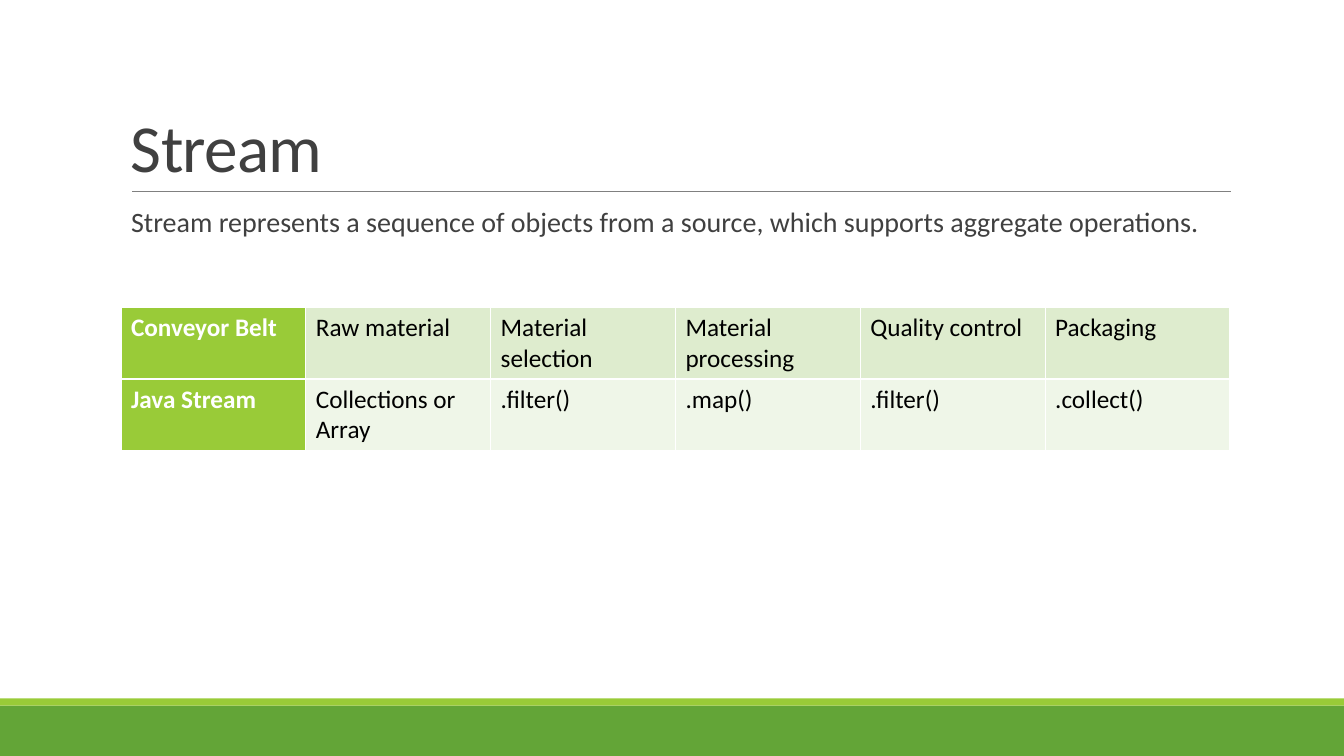
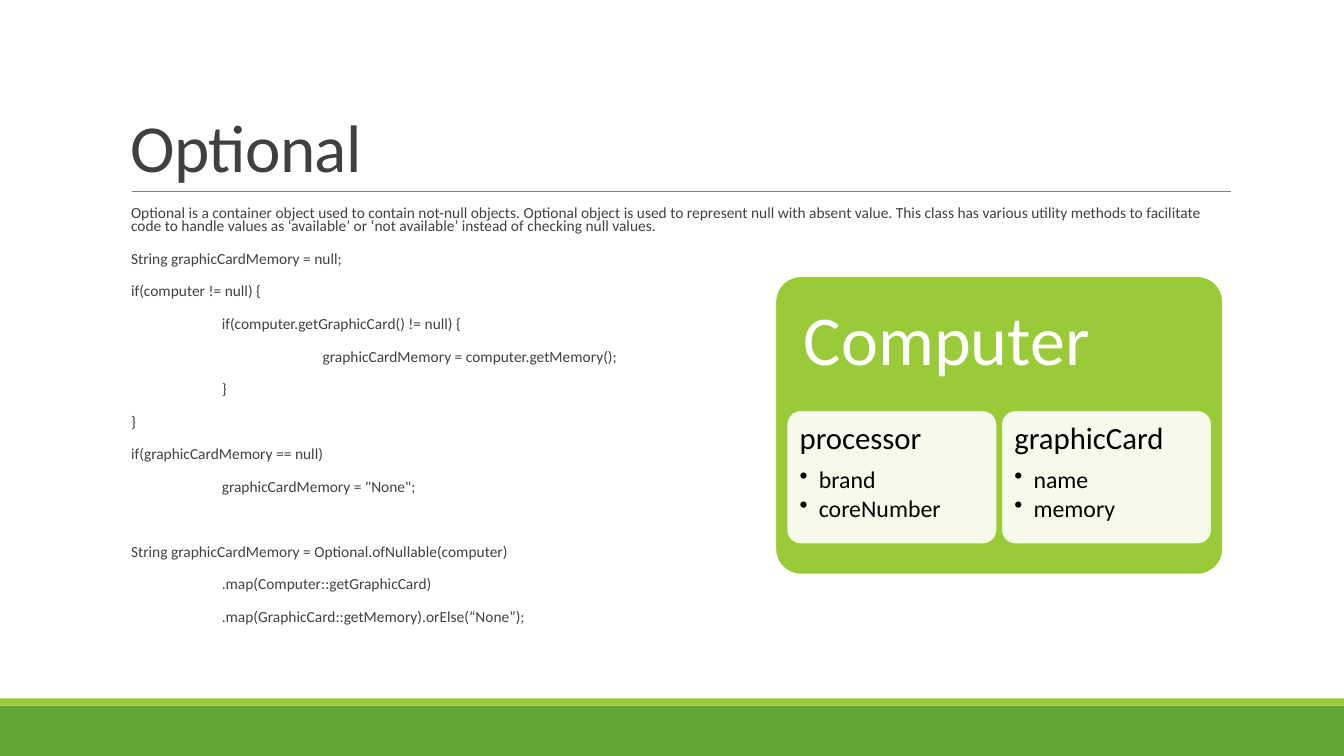
from lxml.etree import SubElement
from pptx import Presentation
from pptx.dml.color import RGBColor
from pptx.enum.shapes import MSO_CONNECTOR, MSO_SHAPE
from pptx.enum.text import MSO_ANCHOR, PP_ALIGN
from pptx.oxml import parse_xml
from pptx.oxml.ns import nsdecls, qn
from pptx.util import Inches, Pt

# Shared style
FONT = "Calibri"
LIME, GREEN, WHITE, BLACK = "99CB38", "63A537", "FFFFFF", "000000"
INK, RULE, CARD = "404040", "808080", "F5FAEB"
BANDS = ["DEECCE", "EFF6E8"]
WIDE, HIGH = 13.33, 7.5
LEFT, SPAN = 1.2, 11

# Content: each body line is (indent level, text, space before)
STREAM = [(0, "Stream represents a sequence of objects from a source, which supports "
              "aggregate operations.", 12)]
STEPS = [
    ["Conveyor Belt", "Raw material", "Material selection", "Material processing",
     "Quality control", "Packaging"],
    ["Java Stream", "Collections or Array", ".filter()", ".map()", ".filter()", ".collect()"],
]
OPTIONAL = [
    (0, "Optional is a container object used to contain not-null objects. Optional object is "
        "used to represent null with absent value. This class has various utility methods to "
        "facilitate code to handle values as ‘available’ or ‘not available’ instead of "
        "checking null values.", 12),
    (0, "String graphicCardMemory = null;", 12),
    (0, "if(computer != null) {", 12),
    (1, "if(computer.getGraphicCard() != null) {", 12),
    (2, "graphicCardMemory = computer.getMemory();", 12),
    (1, "}", 12),
    (0, "}", 12),
    (0, "if(graphicCardMemory == null)", 12),
    (1, "graphicCardMemory = \"None\";", 12),
    (0, "String graphicCardMemory = Optional.ofNullable(computer)", 35.3),
    (1, ".map(Computer::getGraphicCard)", 12),
    (1, ".map(GraphicCard::getMemory).orElse(“None”);", 12),
]
CLASS = "Computer"
FIELDS = [("processor", ["brand", "coreNumber"]), ("graphicCard", ["name", "memory"])]


def rgb(code):
    return RGBColor.from_string(code)


def paint(part, code):
    part.fill.solid()
    part.fill.fore_color.rgb = rgb(code)


def style(para, size, color, bold=False):
    para.alignment = PP_ALIGN.LEFT
    for run in para.runs:
        font = run.font
        font.name, font.size, font.bold = FONT, Pt(size), bold
        font.color.rgb = rgb(color)


def space(para, line, before=0, after=0):
    para.line_spacing = line
    para.space_before, para.space_after = Pt(before), Pt(after)


def indent(para, margin, first=0):
    props = para._p.get_or_add_pPr()
    props.set("marL", str(Inches(margin)))
    props.set("indent", str(Inches(first)))
    return props


def inset(frame, side, edge):
    frame.word_wrap = True
    frame.margin_left = frame.margin_right = Inches(side)
    frame.margin_top = frame.margin_bottom = Inches(edge)


def add_text(slide, box, side):
    frame = slide.shapes.add_textbox(*map(Inches, box)).text_frame
    inset(frame, side, 0.05)
    return frame


def add_box(slide, kind, box, color, edge=None, radius=None):
    shape = slide.shapes.add_shape(kind, *map(Inches, box))
    shape.shadow.inherit = False
    paint(shape, color)
    if edge:
        shape.line.color.rgb = rgb(edge)
        shape.line.width = Pt(1.25)
    else:
        shape.line.fill.background()
    if radius:
        shape.adjustments[0] = radius
    return shape


def add_base(deck, title):
    """Slide with the footer bands, the rule and the title."""
    slide = deck.slides.add_slide(deck.slide_layouts[6])
    add_box(slide, MSO_SHAPE.RECTANGLE, (0, 7, WIDE, 0.5), GREEN)
    add_box(slide, MSO_SHAPE.RECTANGLE, (0, 6.93, WIDE, 0.07), LIME)
    rule = slide.shapes.add_connector(
        MSO_CONNECTOR.STRAIGHT, *map(Inches, (1.31, 1.9, 12.21, 1.9)))
    rule.line.color.rgb = rgb(RULE)
    rule.line.width = Pt(0.5)
    SubElement(rule._element.spPr, qn("a:effectLst"))
    frame = add_text(slide, (LEFT, 0.31, SPAN, 1.59), 0.1)
    frame.vertical_anchor = MSO_ANCHOR.BOTTOM
    frame.text = title
    para = frame.paragraphs[0]
    style(para, 48, INK)
    space(para, 0.85)
    para.runs[0].font._element.set("spc", "-50")
    return slide


def add_body(slide, lines, size, line):
    frame = add_text(slide, (LEFT, 2.02, SPAN, 4.4), 0)
    frame.text = "\n".join(text for _, text, _ in lines)
    for para, (level, _, before) in zip(frame.paragraphs, lines):
        style(para, size, INK)
        space(para, line, before, 2)
        indent(para, level or 0.1)


def add_grid(slide, rows):
    table = slide.shapes.add_table(
        len(rows), len(rows[0]), *map(Inches, (LEFT, 3.05, SPAN, 1.42))).table
    table.first_row = table.horz_banding = False
    for r, row in enumerate(rows):
        for c, text in enumerate(row):
            cell = table.cell(r, c)
            head = c == 0
            cell.text = text
            style(cell.text_frame.paragraphs[0], 18, WHITE if head else BLACK, head)
            paint(cell, LIME if head else BANDS[r])
            for i, side in enumerate(["lnL", "lnR", "lnT", "lnB"]):
                cell._tc.get_or_add_tcPr().insert(i, parse_xml(
                    f'<a:{side} {nsdecls("a")} w="12700"><a:solidFill>'
                    f'<a:srgbClr val="{WHITE}"/></a:solidFill></a:{side}>'))


def add_class(slide, name, fields):
    """Class panel with one card per field."""
    panel = add_box(slide, MSO_SHAPE.ROUNDED_RECTANGLE,
                    (7.69, 2.74, 4.44, 2.96), LIME, WHITE, 0.085)
    frame = panel.text_frame
    inset(frame, 0.21, 0.21)
    frame.vertical_anchor = MSO_ANCHOR.TOP
    frame.text = name
    style(frame.paragraphs[0], 50, WHITE)
    space(frame.paragraphs[0], 0.9)
    for i, (field, parts) in enumerate(fields):
        card = add_box(slide, MSO_SHAPE.ROUNDED_RECTANGLE,
                       (7.8 + i * 2.13, 4.07, 2.09, 1.33), CARD, LIME, 0.105)
        frame = card.text_frame
        inset(frame, 0.09, 0.09)
        frame.vertical_anchor = MSO_ANCHOR.TOP
        frame.text = "\n".join([field, *parts])
        head, *items = frame.paragraphs
        style(head, 22, BLACK)
        space(head, 0.9, after=7.7)
        for item in items:
            style(item, 17, BLACK)
            space(item, 0.9, after=2.5)
            SubElement(indent(item, 0.19, -0.19), qn("a:buChar"), char="•")


def main():
    deck = Presentation()
    deck.slide_width, deck.slide_height = Inches(WIDE), Inches(HIGH)

    # Stream
    slide = add_base(deck, "Stream")
    add_body(slide, STREAM, 20, 0.9)
    add_grid(slide, STEPS)

    # Optional
    slide = add_base(deck, "Optional")
    add_body(slide, OPTIONAL, 11, 0.7)
    add_class(slide, CLASS, FIELDS)

    deck.save("out.pptx")


if __name__ == "__main__":
    main()
